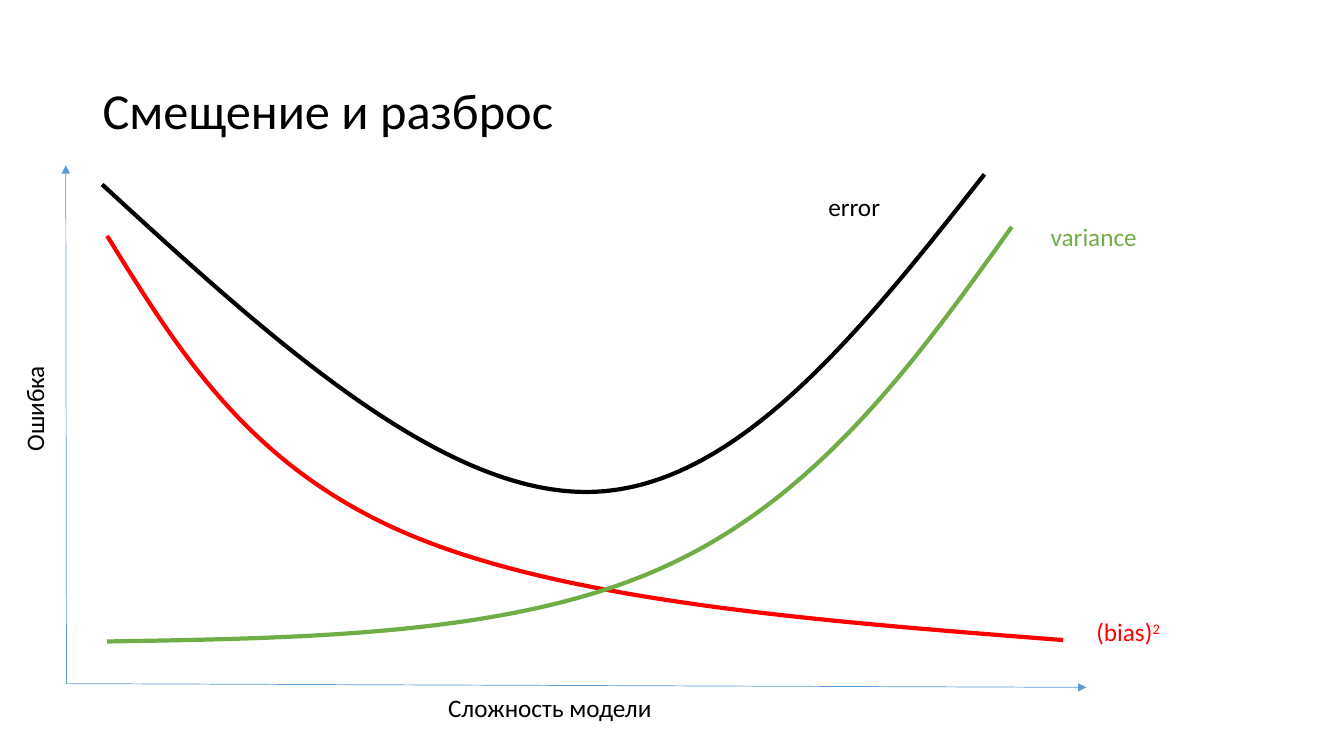
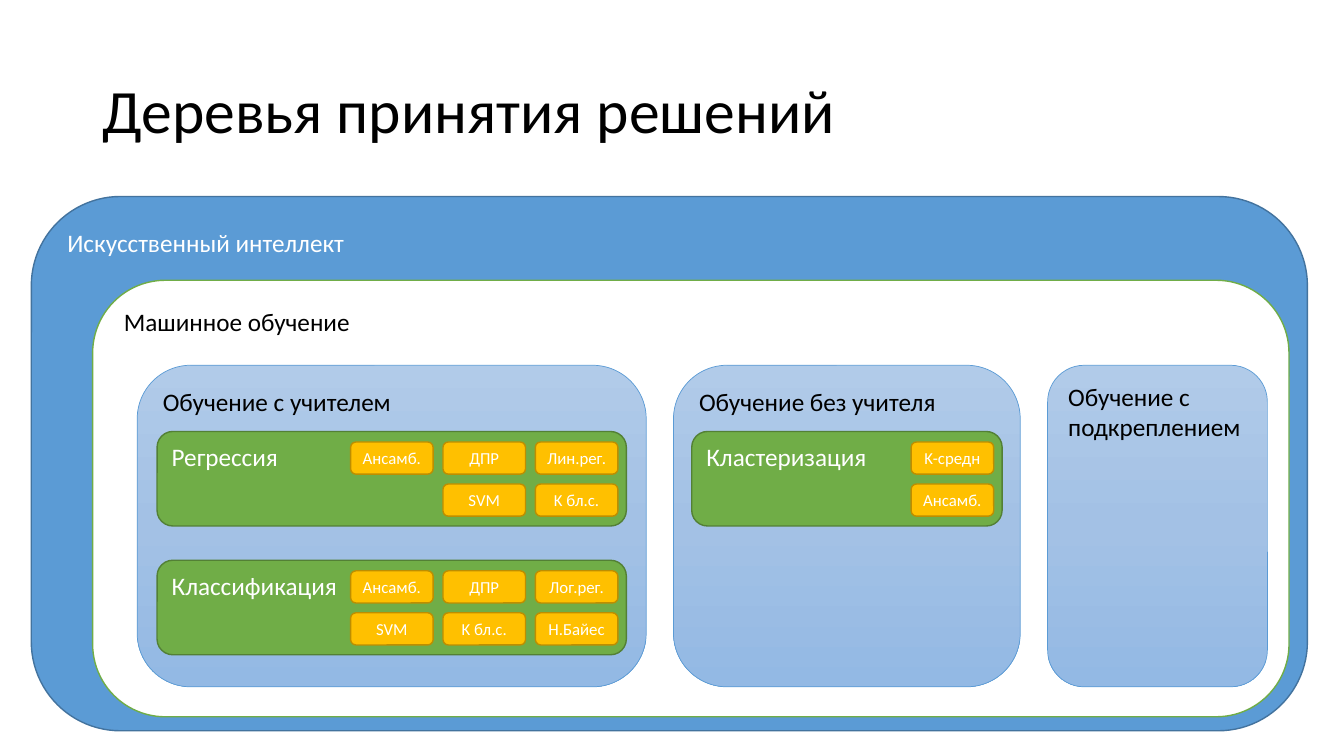
from collections import namedtuple
from copy import deepcopy

from lxml import etree
from pptx import Presentation
from pptx import util as u
from pptx.dml.color import RGBColor
from pptx.enum import shapes, text
from pptx.oxml import ns

# Content: a text is a list of (words, is superscript) runs or a plain string
BIAS_VARIANCE_TITLE = "Смещение и разброс"
TREES_TITLE = "Деревья принятия решений"

AXES = [((47.5, 488.7), (47, 118)), ((47.5, 488.3), (776, 491))]
AXIS_LABELS = [
    ("Ошибка", (10, 249.6, 36, 80), "vert270"),
    ("Сложность модели", (313, 491, 160, 29), "horz"),
]
# Each curve: colour name, Bezier points, label, label box
CURVES = [
    ("red", [(76.5, 168.5), (127.4, 250.6), (177.8, 333.4), (291.6, 381.6),
             (405.4, 429.8), (582.5, 443.5), (759.4, 457.2)],
     [("(bias)", False), ("2", True)], (776, 436.7, 145, 29)),
    ("green", [(76.5, 458.2), (223.2, 455.8), (369.4, 453.6), (476.6, 403.9),
               (584.6, 354.2), (653.8, 258.5), (722.7, 162)],
     "variance", (743.4, 154.4, 150, 29)),
    ("black", [(73, 131.8), (193.7, 242.6), (314.6, 352.2), (419.8, 351.4),
               (524.9, 350.6), (614.2, 237.6), (703.2, 124.5)],
     "error", (584.6, 133.2, 104, 29)),
]

FIELDS = [
    ("Искусственный интеллект", (22.4, 140.4, 911.5, 381.6), "field"),
    ("Машинное обучение", (66.2, 200.2, 854.6, 311.8), "subfield"),
]
# Each panel: heading, width, task inset, tasks; each task: name, method rows
PANELS = [
    ("Обучение с учителем", 363.6, 14.2, [
        ("Регрессия", [["Ансамб.", "ДПР", "Лин.рег."], ["SVM", "K бл.с."]]),
        ("Классификация", [["Ансамб.", "ДПР", "Лог.рег."],
                           ["SVM", "K бл.с.", "Н.Байес"]]),
    ]),
    ("Обучение без учителя", 247.7, 13, [
        ("Кластеризация", [["K-средн"], ["Ансамб."]]),
    ]),
    ("Обучение с подкреплением", 157, 0, []),
]

Box = namedtuple("Box", "fill line width ink")


class Theme:
    """Colours, type sizes and box styles shared by the slides."""
    font = "Calibri"
    title_size, small_title_size, body_size, method_size = 44, 36, 18, 12
    colours = {"black": "000000", "white": "FFFFFF", "red": "FF0000",
               "green": "70AD47", "blue": "5B9BD5"}
    axis_width, curve_width = 0.5, 3
    boxes = {
        "field": Box(["5B9BD5"], "43739E", 1, "white"),
        "subfield": Box(["FFFFFF"], "70AD47", 1, "black"),
        "panel": Box(["B1CBE9", "A3C1E5", "93B9E4"], "5B9BD5", 0.5, "black"),
        "task": Box(["70AD47"], "538035", 1, "white"),
        "method": Box(["FFC000"], "BD8E00", 1, "white"),
    }


TITLE_BOX = (66.2, 28.8, 828, 104.4)
PANEL_LEFT, PANEL_TOP, PANEL_HEIGHT, PANEL_GAP = 98, 260.9, 229.7, 19.5
TASK_OFFSET, TASK_HEIGHT, TASK_PITCH = 47.3, 67.5, 92
METHOD_WIDTH, METHOD_HEIGHT, METHOD_RIGHT, METHOD_TOP = 59, 23, 6, 7.5
METHOD_PITCH_X, METHOD_PITCH_Y = 66, 30


def points(values):
    """Turn numbers into point lengths."""
    return [u.Pt(value) for value in values]


def set_line(shape, colour, width):
    """Set the line colour and width of a shape."""
    shape.line.color.rgb = RGBColor.from_string(colour)
    shape.line.width = u.Pt(width)


def write(shape, content, size, colour="black", centred=False, middle=False):
    """Write one paragraph into a shape, run by run."""
    frame = shape.text_frame
    frame.word_wrap = not centred
    frame.vertical_anchor = (text.MSO_ANCHOR.MIDDLE if middle
                             else text.MSO_ANCHOR.TOP)
    paragraph = frame.paragraphs[0]
    paragraph.alignment = text.PP_ALIGN.CENTER if centred else text.PP_ALIGN.LEFT
    runs = [(content, False)] if isinstance(content, str) else content
    for words, superscript in runs:
        run = paragraph.add_run()
        run.text = words
        run.font.name = Theme.font
        run.font.size = u.Pt(size)
        run.font.color.rgb = RGBColor.from_string(Theme.colours[colour])
        if superscript:
            run.font._element.set("baseline", "30000")
    return paragraph


def add_label(slide, content, box, colour="black", direction="horz"):
    """Add a text box of body size."""
    label = slide.shapes.add_textbox(*points(box))
    write(label, content, Theme.body_size, colour)
    label.text_frame.auto_size = text.MSO_AUTO_SIZE.SHAPE_TO_FIT_TEXT
    label.element.txBody.bodyPr.set("vert", direction)


def add_titled_slide(presentation, title, size):
    """Add a blank slide with its title."""
    slide = presentation.slides.add_slide(presentation.slide_layouts[6])
    heading = slide.shapes.add_textbox(*points(TITLE_BOX))
    write(heading, title, size, middle=True).line_spacing = 0.9
    return slide


def add_axis(slide, start, end):
    """Add a thin axis with an arrowhead at its end."""
    axis = slide.shapes.add_connector(shapes.MSO_CONNECTOR.STRAIGHT,
                                      *points(start + end))
    set_line(axis, Theme.colours["blue"], Theme.axis_width)
    etree.SubElement(axis.line._get_or_add_ln(), ns.qn("a:tailEnd"),
                     type="triangle")
    etree.SubElement(axis.element.spPr, ns.qn("a:effectLst"))


def add_curve(slide, controls, colour):
    """Draw an open chain of cubic Bezier segments."""
    start, *rest = [points(point) for point in controls]
    builder = slide.shapes.build_freeform(*start)
    builder.add_line_segments(rest, close=False)
    curve = builder.convert_to_shape()
    lines = list(curve.element.iter(ns.qn("a:lnTo")))
    for first in range(0, len(lines), 3):
        bezier = etree.Element(ns.qn("a:cubicBezTo"))
        lines[first].addprevious(bezier)
        for line in lines[first:first + 3]:
            bezier.append(line[0])
            line.getparent().remove(line)
    curve.shadow.inherit = False
    curve.fill.background()
    set_line(curve, Theme.colours[colour], Theme.curve_width)


def fill_gradient(shape, colours):
    """Fill a shape from top to bottom with evenly spaced colours."""
    shape.fill.gradient()
    shape.fill.gradient_angle = 270
    stop_list = next(shape.element.iter(ns.qn("a:gsLst")))
    while len(stop_list) < len(colours):
        stop_list.append(deepcopy(stop_list[-1]))
    for index, stop in enumerate(shape.fill.gradient_stops):
        stop.color.rgb = RGBColor.from_string(colours[index])
        stop.position = index / (len(colours) - 1)


def add_box(slide, content, box, style_name):
    """Add a rounded box in one of the theme's box styles."""
    style = Theme.boxes[style_name]
    shape = slide.shapes.add_shape(shapes.MSO_SHAPE.ROUNDED_RECTANGLE,
                                   *points(box))
    shape.shadow.inherit = False
    if len(style.fill) > 1:
        fill_gradient(shape, style.fill)
    else:
        shape.fill.solid()
        shape.fill.fore_color.rgb = RGBColor.from_string(style.fill[0])
    set_line(shape, style.line, style.width)
    is_method = style_name == "method"
    size = Theme.method_size if is_method else Theme.body_size
    write(shape, content, size, style.ink, is_method, is_method)


def add_task(slide, name, rows, left, top, width):
    """Add a task band with its methods in rows set from the right."""
    add_box(slide, name, (left, top, width, TASK_HEIGHT), "task")
    last_left = left + width - METHOD_RIGHT - METHOD_WIDTH
    for row, methods in enumerate(rows):
        for column, method in enumerate(reversed(methods)):
            add_box(slide, method,
                    (last_left - column * METHOD_PITCH_X,
                     top + METHOD_TOP + row * METHOD_PITCH_Y,
                     METHOD_WIDTH, METHOD_HEIGHT), "method")


def build_bias_variance(presentation):
    """Build the slide with the error curves."""
    slide = add_titled_slide(presentation, BIAS_VARIANCE_TITLE,
                             Theme.small_title_size)
    for start, end in AXES:
        add_axis(slide, start, end)
    for label, box, direction in AXIS_LABELS:
        add_label(slide, label, box, direction=direction)
    for colour, controls, label, box in CURVES:
        add_curve(slide, controls, colour)
        add_label(slide, label, box, colour)


def build_trees(presentation):
    """Build the slide with the nested map of methods."""
    slide = add_titled_slide(presentation, TREES_TITLE, Theme.title_size)
    for name, box, style_name in FIELDS:
        add_box(slide, name, box, style_name)
    left = PANEL_LEFT
    for heading, width, inset, tasks in PANELS:
        add_box(slide, heading, (left, PANEL_TOP, width, PANEL_HEIGHT), "panel")
        for index, (name, rows) in enumerate(tasks):
            add_task(slide, name, rows, left + inset,
                     PANEL_TOP + TASK_OFFSET + index * TASK_PITCH,
                     width - 2 * inset)
        left += width + PANEL_GAP


def main():
    """Build and save the presentation."""
    presentation = Presentation()
    presentation.slide_width, presentation.slide_height = points((960, 540))
    build_bias_variance(presentation)
    build_trees(presentation)
    presentation.save("out.pptx")


main()
